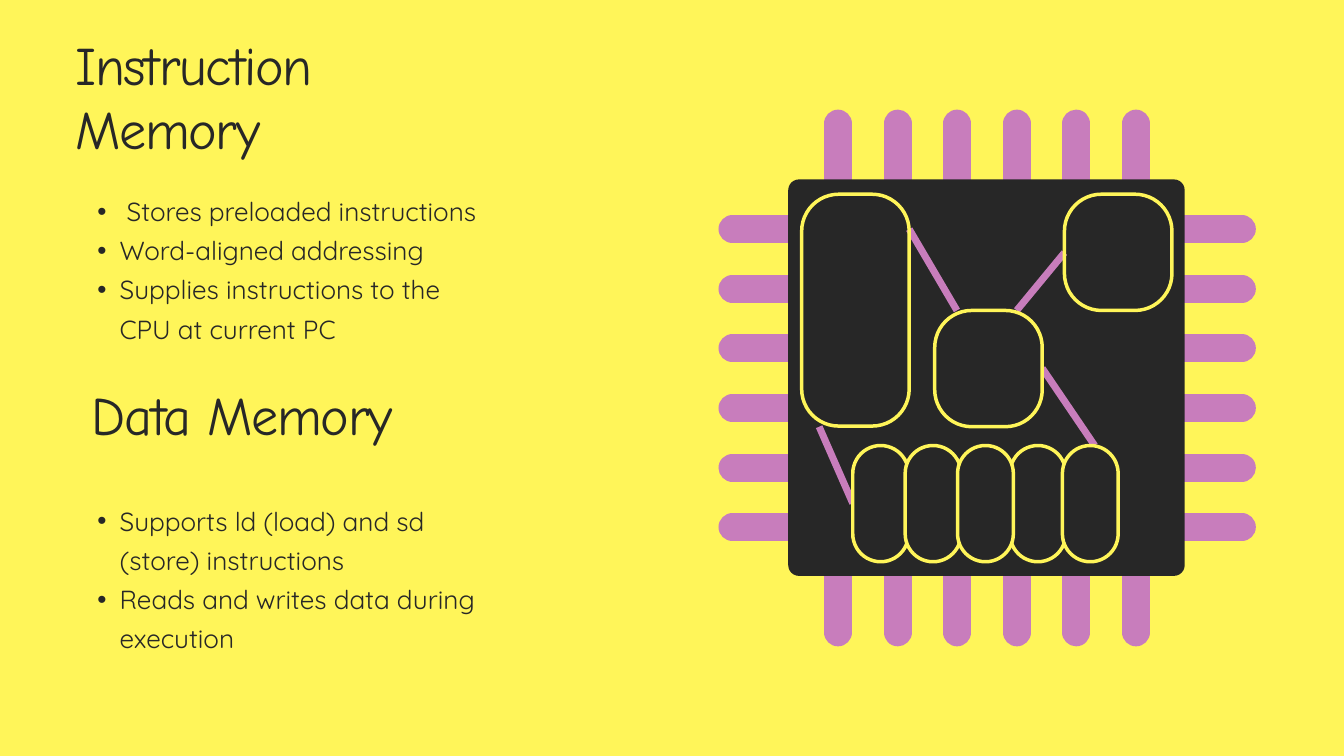
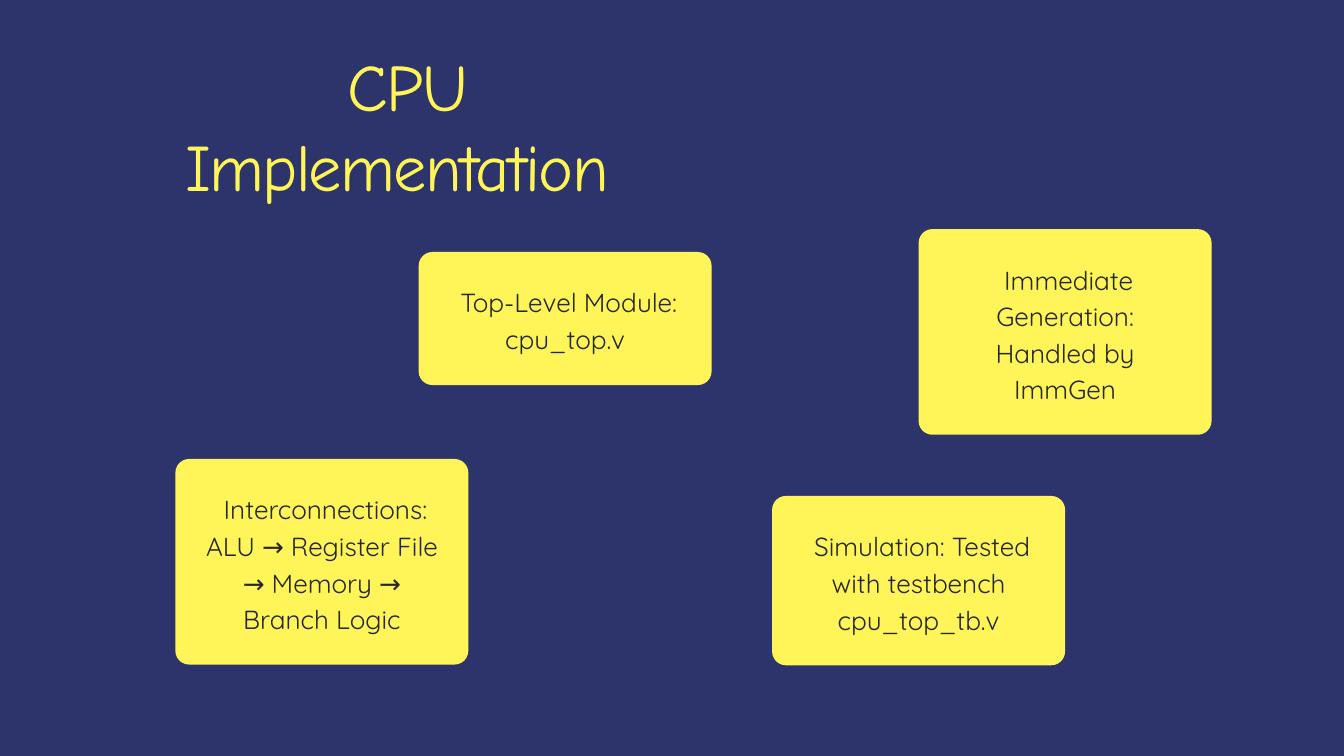
import dataclasses
import typing

import lxml.etree
import pptx
import pptx.dml.color
import pptx.enum.shapes
import pptx.enum.text
import pptx.oxml.ns
import pptx.util

RGB = pptx.dml.color.RGBColor
SHAPE = pptx.enum.shapes.MSO_SHAPE
LINK = pptx.enum.shapes.MSO_CONNECTOR
ALIGN = pptx.enum.text.PP_ALIGN
Pt = pptx.util.Pt

YELLOW = RGB(0xFF, 0xF5, 0x59)
NAVY = RGB(0x2C, 0x34, 0x6B)
DARK = RGB(0x27, 0x27, 0x27)
PINK = RGB(0xC8, 0x7D, 0xBC)

WIDE = pptx.util.Inches(20)
HIGH = pptx.util.Inches(11.25)
COLS, ROWS = 200, 112.5


@dataclasses.dataclass(frozen=True)
class Box:
    col: float
    row: float
    wide: float
    high: float

    def place(self) -> tuple[int, ...]:
        return x(self.col), y(self.row), x(self.wide), y(self.high)


@dataclasses.dataclass(frozen=True)
class Style:
    font: dict[str, typing.Any]
    color: RGB
    lead: float
    track: int = 0
    align: typing.Any = ALIGN.LEFT
    dot: bool = False


@dataclasses.dataclass(frozen=True)
class Block:
    box: Box
    style: Style
    lines: tuple[str, ...]


@dataclasses.dataclass(frozen=True)
class Plate:
    box: Box
    curve: float
    fill: RGB | None = DARK
    edge: RGB | None = YELLOW


@dataclasses.dataclass(frozen=True)
class Wire:
    start: tuple[float, float]
    end: tuple[float, float]
    width: float = 7.5
    cap: str = "flat"


@dataclasses.dataclass(frozen=True)
class Card:
    col: float
    row: float
    lines: int
    text: str


HEAD = {"name": "Comic Neue", "size": Pt(58)}
BODY = {"name": "Quicksand", "size": Pt(28)}
TITLE = Style(HEAD, DARK, 69.6, -140)
COVER = Style(HEAD | {"size": Pt(71)}, YELLOW, 85.2, -180, ALIGN.CENTER)
LIST = Style(BODY, DARK, 42, dot=True)
LABEL = Style(BODY, DARK, 39.2, align=ALIGN.CENTER)

LEFT, SPAN = 11.2, 60.5
BLOCKS = (
    Block(Box(LEFT, 4.6, SPAN, 19.1), TITLE, ("Instruction Memory",)),
    Block(Box(LEFT, 27.9, SPAN, 28.4), LIST, (
        " Stores preloaded instructions",
        "Word-aligned addressing",
        "Supplies instructions to the CPU at current PC",
    )),
    Block(Box(LEFT, 56.8, SPAN, 9.5), TITLE, (" Data Memory",)),
    Block(Box(LEFT, 74, SPAN, 34.1), LIST, (
        "Supports ld (load) and sd (store) instructions",
        "Reads and writes data during execution",
    )),
)

PINS, PITCH = 6, 8.87
CHIP = Plate(Box(117.3, 26.7, 59, 59), 1.6, edge=None)
TRACES = (
    Wire((135.3, 34.1), (142.4, 46.2)),
    Wire((158.4, 37.6), (151.3, 46.2)),
    Wire((155.1, 54.8), (162.9, 66.3)),
)
CORES = (
    Plate(Box(139.1, 46.2, 16, 17.3), 5.5),
    Plate(Box(119.3, 28.9, 16, 34.5), 5.5, None),
    Plate(Box(158.4, 28.9, 16, 17.3), 5.5, None),
)
FEED = Wire((121.9, 63.5), (126.9, 74.9))
CELLS = (0, 1, 3, 2, 4)

CARDS = (
    Card(62.3, 37.5, 2, " Top-Level Module: cpu_top.v"),
    Card(26.1, 68.3, 4,
         " Interconnections: ALU → Register File → Memory → Branch Logic"),
    Card(136.7, 34.1, 4, " Immediate Generation: Handled by ImmGen"),
    Card(114.9, 73.8, 3, " Simulation: Tested with testbench cpu_top_tb.v"),
)


def x(cols: float) -> int:
    return round(WIDE * cols / COLS)


def y(rows: float) -> int:
    return round(HIGH * rows / ROWS)


def adorn(item: typing.Any, values: dict[str, typing.Any]) -> None:
    for key, value in values.items():
        setattr(item, key, value)


def add_tag(home: typing.Any, tag: str, **values: str) -> None:
    node = lxml.etree.SubElement(home, pptx.oxml.ns.qn(tag))
    for key, value in values.items():
        node.set(key, value)


def add_text(slide: typing.Any, block: Block) -> None:
    style = block.style
    frame = slide.shapes.add_textbox(*block.box.place()).text_frame
    adorn(frame, {
        "margin_left": 0, "margin_right": 0, "margin_top": 0,
        "margin_bottom": 0, "word_wrap": True,
        "auto_size": pptx.enum.text.MSO_AUTO_SIZE.SHAPE_TO_FIT_TEXT,
    })
    for spot, line in enumerate(block.lines):
        para = frame.add_paragraph() if spot else frame.paragraphs[0]
        adorn(para, {"alignment": style.align,
                     "line_spacing": Pt(style.lead),
                     "level": int(style.dot)})
        if style.dot:
            props = para._p.get_or_add_pPr()
            props.set("marL", str(x(6.6)))
            props.set("indent", str(-x(3.3)))
            add_tag(props, "a:buFont", typeface="Arial")
            add_tag(props, "a:buChar", char="•")
        run = para.add_run()
        run.text = line
        adorn(run.font, style.font)
        run.font.color.rgb = style.color
        if style.track:
            run._r.get_or_add_rPr().set("spc", str(style.track))


def add_plate(slide: typing.Any, plate: Plate) -> None:
    shape = slide.shapes.add_shape(SHAPE.ROUNDED_RECTANGLE,
                                   *plate.box.place())
    shape.shadow.inherit = False
    shape.adjustments[0] = plate.curve / min(plate.box.wide, plate.box.high)
    for paint, color in ((shape.fill, plate.fill),
                         (shape.line.fill, plate.edge)):
        if color is None:
            paint.background()
        else:
            paint.solid()
            paint.fore_color.rgb = color
    if plate.edge is not None:
        shape.line.width = Pt(3.75)


def add_wire(slide: typing.Any, wire: Wire) -> None:
    (left, top), (right, base) = wire.start, wire.end
    link = slide.shapes.add_connector(LINK.STRAIGHT, x(left), y(top),
                                      x(right), y(base))
    link.line.color.rgb = PINK
    link.line.width = Pt(wire.width)
    link.line._get_or_add_ln().set("cap", wire.cap)
    add_tag(link._element.spPr, "a:effectLst")


def add_page(deck: typing.Any, color: RGB) -> typing.Any:
    slide = deck.slides.add_slide(deck.slide_layouts[6])
    slide.background.fill.solid()
    slide.background.fill.fore_color.rgb = color
    return slide


def draw_chip(slide: typing.Any) -> None:
    steps = [spot * PITCH for spot in range(PINS)]
    rows = [Wire((109, 34.1 + step), (184.8, 34.1 + step), 30, "rnd")
            for step in steps]
    cols = [Wire((124.7 + step, 94.1), (124.7 + step, 18.4), 30, "rnd")
            for step in steps]
    for pin in rows + cols:
        add_wire(slide, pin)
    add_plate(slide, CHIP)
    for trace in TRACES:
        add_wire(slide, trace)
    for core in CORES:
        add_plate(slide, core)
    add_wire(slide, FEED)
    for spot in CELLS:
        add_plate(slide, Plate(Box(126.9 + 7.8 * spot, 66.3, 8.3, 17.3), 4.15))


def draw_card(slide: typing.Any, card: Card) -> None:
    high = 5.4 * card.lines
    box = Box(card.col, card.row, 43.6, high + 9)
    add_plate(slide, Plate(box, 2.05, YELLOW, None))
    inner = Box(card.col + 3.6, card.row + 4.4, 36.4, high - 0.2)
    add_text(slide, Block(inner, LABEL, (card.text,)))


def main() -> None:
    deck = pptx.Presentation()
    adorn(deck, {"slide_width": WIDE, "slide_height": HIGH})

    store = add_page(deck, YELLOW)
    draw_chip(store)
    for block in BLOCKS:
        add_text(store, block)

    build = add_page(deck, NAVY)
    for card in CARDS:
        draw_card(build, card)
    add_text(build, Block(Box(18.1, 6.8, 81.9, 23.6), COVER,
                          (" CPU Implementation",)))

    deck.save("out.pptx")


if __name__ == "__main__":
    main()
